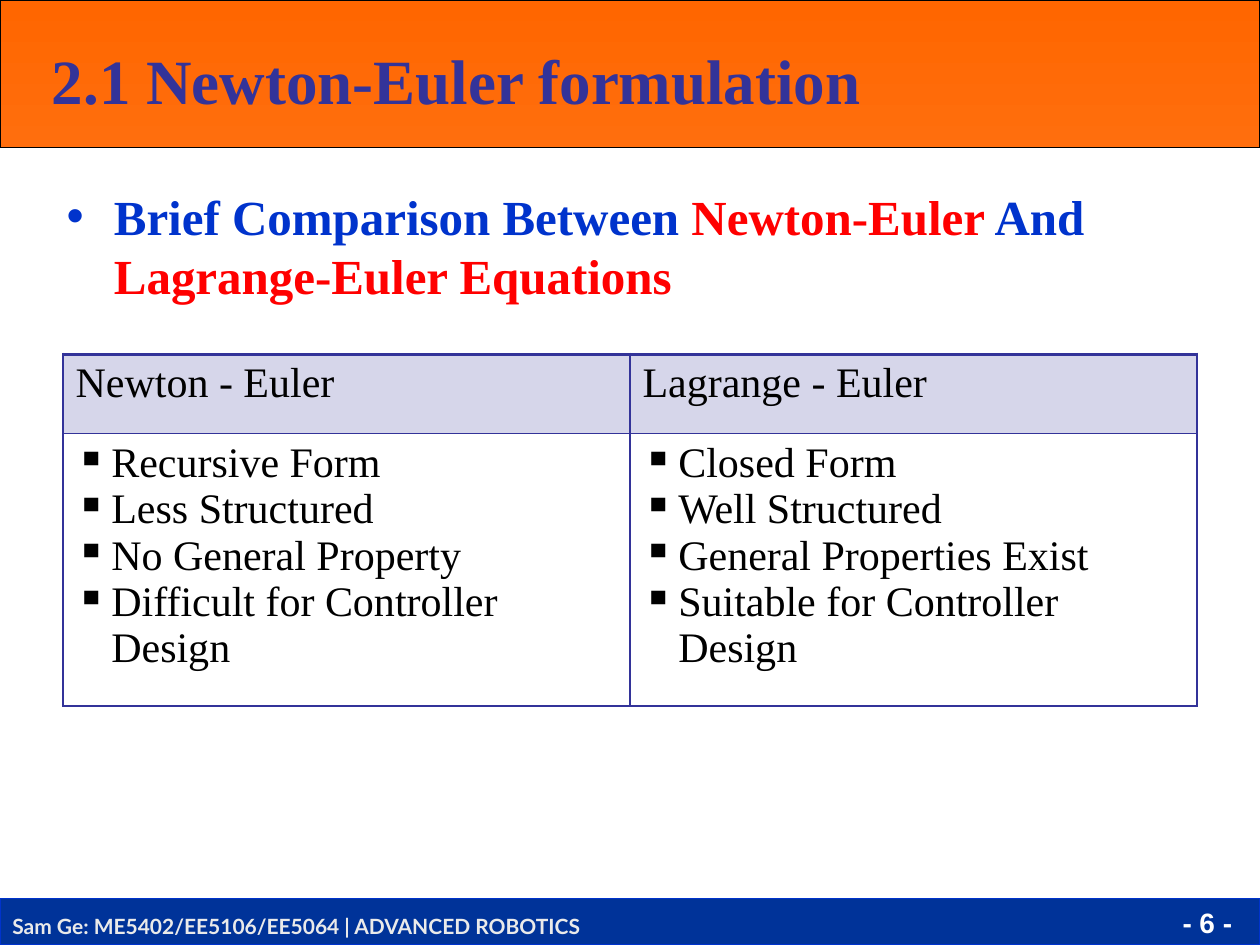
from lxml import etree
from pptx import Presentation
from pptx.dml.color import RGBColor
from pptx.enum.shapes import MSO_SHAPE
from pptx.enum.text import MSO_ANCHOR, MSO_AUTO_SIZE, PP_ALIGN
from pptx.oxml.ns import qn
from pptx.util import Cm, Pt

RECT = MSO_SHAPE.RECTANGLE
TOP = MSO_ANCHOR.TOP
FIXED = MSO_AUTO_SIZE.NONE
LEFT, RIGHT = PP_ALIGN.LEFT, PP_ALIGN.RIGHT

INDIGO = RGBColor(0x33, 0x33, 0x99)
BLUE = RGBColor(0x00, 0x33, 0xCC)
NAVY = RGBColor(0x00, 0x33, 0x99)
RED = RGBColor(0xFF, 0x00, 0x00)
ORANGE = RGBColor(0xFF, 0x66, 0x00)
AMBER = RGBColor(0xFF, 0x6E, 0x0D)
BLACK = RGBColor(0x00, 0x00, 0x00)
WHITE = RGBColor(0xFF, 0xFF, 0xFF)
SILVER = RGBColor(0xEA, 0xEA, 0xEA)

SERIF = "Times New Roman"
HEAD = {"name": SERIF, "size": Pt(36), "bold": True}
LEAD = {"name": SERIF, "size": Pt(28), "bold": True}
CELL = {"name": SERIF, "size": Pt(24), "bold": False}
COURSE = {"name": "Lato", "size": Pt(12), "bold": True}
PAGE = {"name": "Arial", "size": Pt(16), "bold": True}

TOPIC = [
    ("Brief Comparison Between", BLUE),
    (" Newton-Euler", RED),
    (" And ", BLUE),
    ("Lagrange-Euler Equations", RED),
]
FORMS = {
    "Newton - Euler": [
        "Recursive Form",
        "Less Structured",
        "No General Property",
        "Difficult for Controller Design",
    ],
    "Lagrange - Euler": [
        "Closed Form",
        "Well Structured",
        "General Properties Exist",
        "Suitable for Controller Design",
    ],
}


def write(para, text, form, color):
    """Add a formatted run to a paragraph."""
    run = para.add_run()
    run.text = text
    for key, value in form.items():
        setattr(run.font, key, value)
    run.font.color.rgb = color


def place(shape, left, top, width, height):
    """Move a shape to a box given in centimetres."""
    box = {"left": left, "top": top, "width": width, "height": height}
    for key, value in box.items():
        setattr(shape, key, Cm(value))


def setup(frame, wrap=True):
    """Make a text frame start at its top with a fixed size."""
    form = {"word_wrap": wrap, "vertical_anchor": TOP, "auto_size": FIXED}
    for key, value in form.items():
        setattr(frame, key, value)
    return frame.paragraphs[0]


def add_bar(slide, box, edge):
    """Add a band behind everything else and return it."""
    bar = slide.shapes.add_shape(RECT, *map(Cm, box))
    bar.shadow.inherit = False
    bar.line.color.rgb = edge
    bar.line.width = Pt(0.75)
    bar.element.getparent().insert(2, bar.element)
    return bar


def add_header(slide, left, top, width, height):
    """Draw the orange band with the slide title."""
    fill = add_bar(slide, (left, top, width, height), BLACK).fill
    fill.gradient()
    fill.gradient_angle = 270
    for stop, color in zip(fill.gradient_stops, (ORANGE, AMBER)):
        stop.color.rgb = color
    title = slide.shapes.title
    place(title, left + 0.79, top + 0.71, 18.54, 3.33)
    para = setup(title.text_frame)
    para.alignment = LEFT
    write(para, "2.1 Newton-Euler formulation", HEAD, INDIGO)


def add_topic(slide, left, top, width, height):
    """Fill the body placeholder with the topic line."""
    body = slide.placeholders[1]
    place(body, left, top, width, height)
    para = setup(body.text_frame)
    for text, color in TOPIC:
        write(para, text, LEAD, color)


def add_edges(cell, first):
    """Rule all four sides of a cell, with a heavier top on the first row."""
    props = cell._tc.get_or_add_tcPr()
    for spot, side in enumerate("LRTB"):
        width = Pt(2) if first and side == "T" else Pt(1)
        line = etree.Element(qn("a:ln" + side), w=str(width))
        fill = etree.SubElement(line, qn("a:solidFill"))
        etree.SubElement(fill, qn("a:srgbClr"), val=str(INDIGO))
        props.insert(spot, line)


def add_mark(para):
    """Give a paragraph a square bullet with a hanging indent."""
    props = para._p.get_or_add_pPr()
    props.set("marL", str(Cm(0.72)))
    props.set("indent", str(-Cm(0.72)))
    etree.SubElement(props, qn("a:buChar"), char="▪")


def add_table(slide, left, top, width, height):
    """Compare the two formulations, one to a column."""
    box = map(Cm, (left, top, width, height))
    table = slide.shapes.add_table(2, len(FORMS), *box).table
    table.first_row = table.horz_banding = False
    table.rows[0].height = Cm(1.6)
    table.rows[1].height = Cm(height - 1.6)
    for col, (name, points) in enumerate(FORMS.items()):
        head, body = table.cell(0, col), table.cell(1, col)
        head.fill.solid()
        head.fill.fore_color.rgb = INDIGO
        tint = head._tc.tcPr.find(".//" + qn("a:srgbClr"))
        etree.SubElement(tint, qn("a:alpha"), val="20000")
        body.fill.background()
        add_edges(head, True)
        add_edges(body, False)
        write(head.text_frame.paragraphs[0], name, CELL, BLACK)
        frame = body.text_frame
        for row, point in enumerate(points):
            para = frame.add_paragraph() if row else frame.paragraphs[0]
            add_mark(para)
            write(para, point, CELL, BLACK)


def add_footer(slide, left, top, width, height):
    """Draw the blue band with the course name and page number."""
    bar = add_bar(slide, (left, top, width, height), BLUE)
    bar.fill.solid()
    bar.fill.fore_color.rgb = NAVY
    box = map(Cm, (left, top + 0.18, 13.11, 0.76))
    course = slide.shapes.add_textbox(*box)
    para = setup(course.text_frame, False)
    write(para, "Sam Ge: ME5402/EE5106/EE5064 | ADVANCED ROBOTICS", COURSE, SILVER)
    box = map(Cm, (left + width - 2.34, top + 0.03, 2.03, 0.91))
    page = slide.shapes.add_textbox(*box)
    para = setup(page.text_frame)
    para.alignment = RIGHT
    write(para, "- 6 -", PAGE, WHITE)


def main():
    """Build the slide and save it."""
    deck = Presentation()
    deck.slide_width, deck.slide_height = Cm(25.4), Cm(19.05)
    slide = deck.slides.add_slide(deck.slide_layouts[1])
    add_header(slide, 0, 0, 25.4, 2.97)
    add_topic(slide, 1.09, 3.63, 22.86, 3.1)
    add_table(slide, 1.27, 7.14, 22.86, 7.09)
    add_footer(slide, 0, 18.11, 25.4, 0.94)
    deck.save("out.pptx")


if __name__ == "__main__":
    main()
